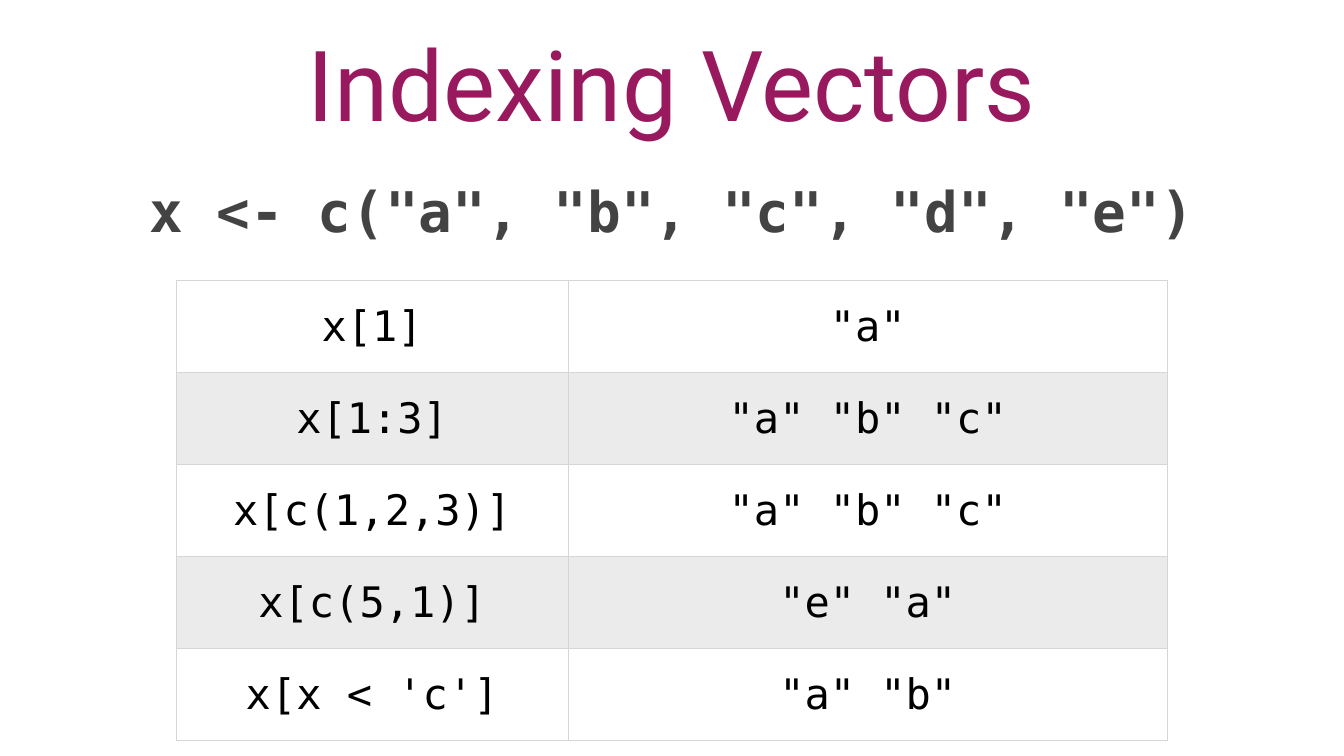
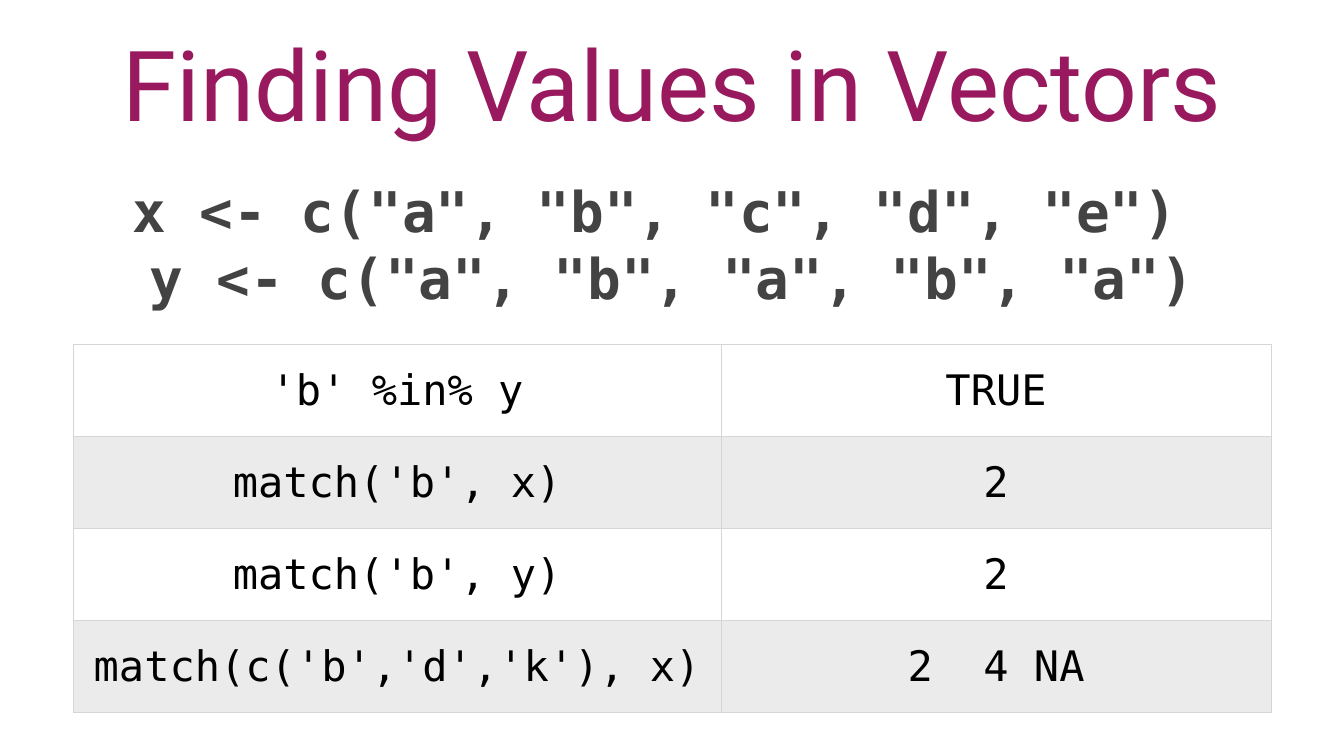
from lxml.etree import fromstring
from pptx import Presentation
from pptx.dml.color import RGBColor as Color
from pptx.enum.text import MSO_ANCHOR as Anchor, PP_ALIGN as Align
from pptx.oxml.ns import nsdecls
from pptx.util import Inches, Pt

COLORS = {"title": "99195E", "code": "434343", "cell": "000000",
          "plain": "FFFFFF", "band": "EBEBEB", "border": "D6D6D6"}
SANS, MONO = "Roboto", "DejaVu Sans Mono"

deck = Presentation()
deck.slide_width, deck.slide_height = Inches(26.67), Inches(15)
COLUMN, ROW = deck.slide_width / 100, deck.slide_height / 100
TEXT_WIDTH = 86.14
ROW_HEIGHT = 12.17
INSET = Pt(4)

SLIDES = [
    {"title": "Indexing Vectors",
     "code": ['x <- c("a", "b", "c", "d", "e")'],
     "code_height": 13.2, "table_top": 37.13, "widths": [29.13, 44.62],
     "rows": [("x[1]", '"a"'),
              ("x[1:3]", '"a" "b" "c"'),
              ("x[c(1,2,3)]", '"a" "b" "c"'),
              ("x[c(5,1)]", '"e" "a"'),
              ("x[x < 'c']", '"a" "b"')]},
    {"title": "Finding Values in Vectors",
     "code": ['x <- c("a", "b", "c", "d", "e") ',
              'y <- c("a", "b", "a", "b", "a")'],
     "code_height": 18.87, "table_top": 45.6, "widths": [48.22, 40.91],
     "rows": [("'b' %in% y", "TRUE"),
              ("match('b', x)", "2"),
              ("match('b', y)", "2"),
              ("match(c('b','d','k'), x)", "2  4 NA")]},
]


def write_lines(frame, lines, font, size, color, bold=False):
    for index, line in enumerate(lines):
        para = frame.paragraphs[0] if index == 0 else frame.add_paragraph()
        para.alignment = Align.CENTER
        span = para.add_run()
        span.text = line
        span.font.name, span.font.size, span.font.bold = font, Pt(size), bold
        span.font.color.rgb = Color.from_string(COLORS[color])


def add_text(page, top, height, anchor, *style):
    box = page.shapes.add_textbox(
        round((100 - TEXT_WIDTH) / 2 * COLUMN), round(top * ROW),
        round(TEXT_WIDTH * COLUMN), round(height * ROW))
    frame = box.text_frame
    frame.word_wrap = True
    frame.vertical_anchor = anchor
    frame.margin_left = frame.margin_right = INSET
    frame.margin_top = frame.margin_bottom = INSET
    write_lines(frame, *style)


for content in SLIDES:
    page = deck.slides.add_slide(deck.slide_layouts[6])
    add_text(page, 2.6, 16.67, Anchor.MIDDLE,
             [content["title"]], SANS, 140, "title")
    add_text(page, 22.93, content["code_height"], Anchor.TOP,
             content["code"], MONO, 80, "code", True)

    rows, widths = content["rows"], content["widths"]
    table = page.shapes.add_table(
        len(rows), len(widths),
        round((100 - sum(widths)) / 2 * COLUMN),
        round(content["table_top"] * ROW),
        round(sum(widths) * COLUMN),
        round(len(rows) * ROW_HEIGHT * ROW)).table
    table.first_row = table.horz_banding = False
    for column, width in zip(table.columns, widths):
        column.width = round(width * COLUMN)
    for row_index, texts in enumerate(rows):
        table.rows[row_index].height = round(ROW_HEIGHT * ROW)
        for column_index, text in enumerate(texts):
            cell = table.cell(row_index, column_index)
            cell.vertical_anchor = Anchor.MIDDLE
            cell.margin_left = cell.margin_right = INSET
            cell.margin_top = cell.margin_bottom = INSET
            write_lines(cell.text_frame, [text], MONO, 60, "cell")
            properties = cell._tc.get_or_add_tcPr()
            for side in "LRTB":
                properties.append(fromstring(
                    f'<a:ln{side} {nsdecls("a")} w="{Pt(1)}"><a:solidFill>'
                    f'<a:srgbClr val="{COLORS["border"]}"/>'
                    f'</a:solidFill></a:ln{side}>'))
            cell.fill.solid()
            shade = "band" if row_index % 2 else "plain"
            cell.fill.fore_color.rgb = Color.from_string(COLORS[shade])

deck.save("out.pptx")
